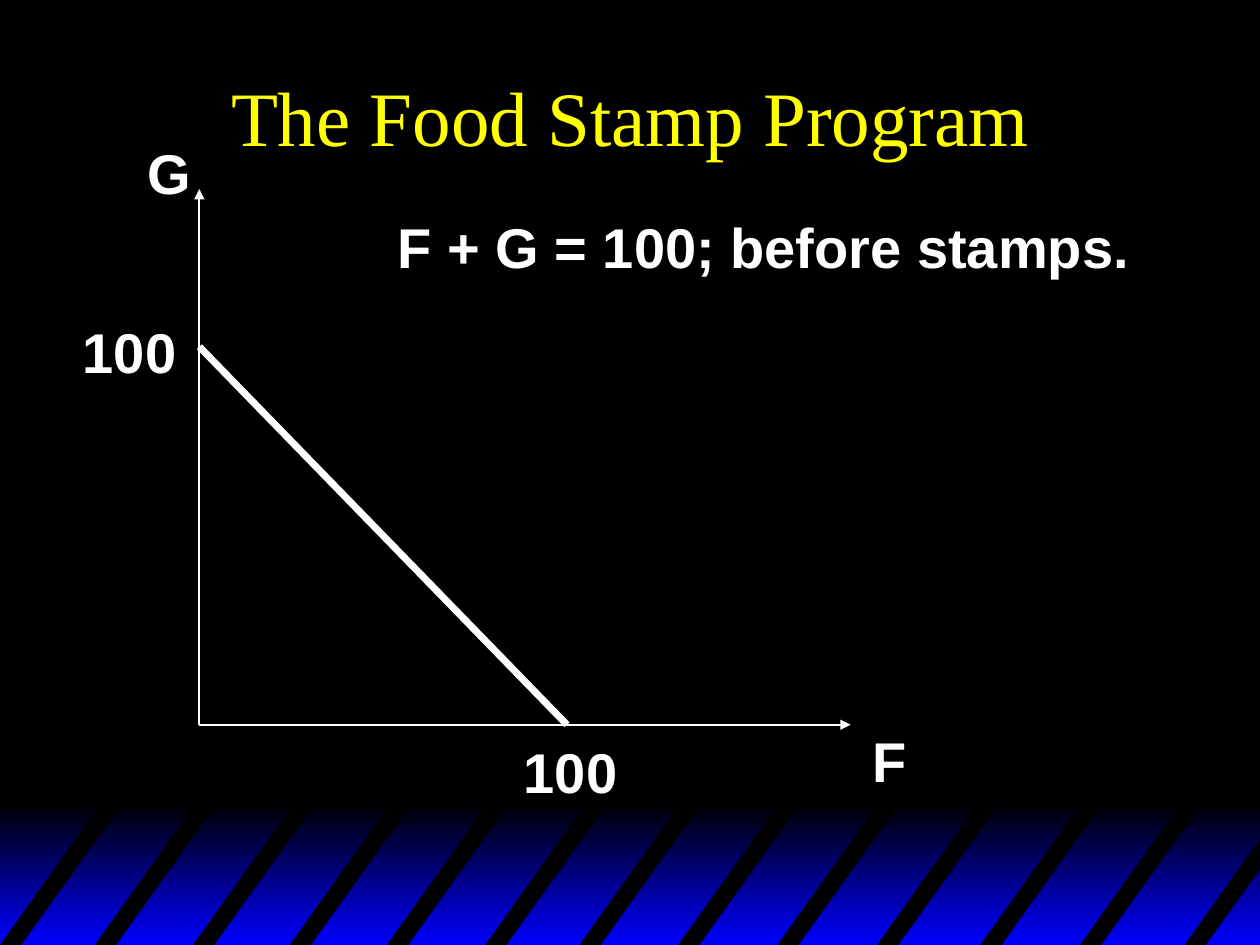
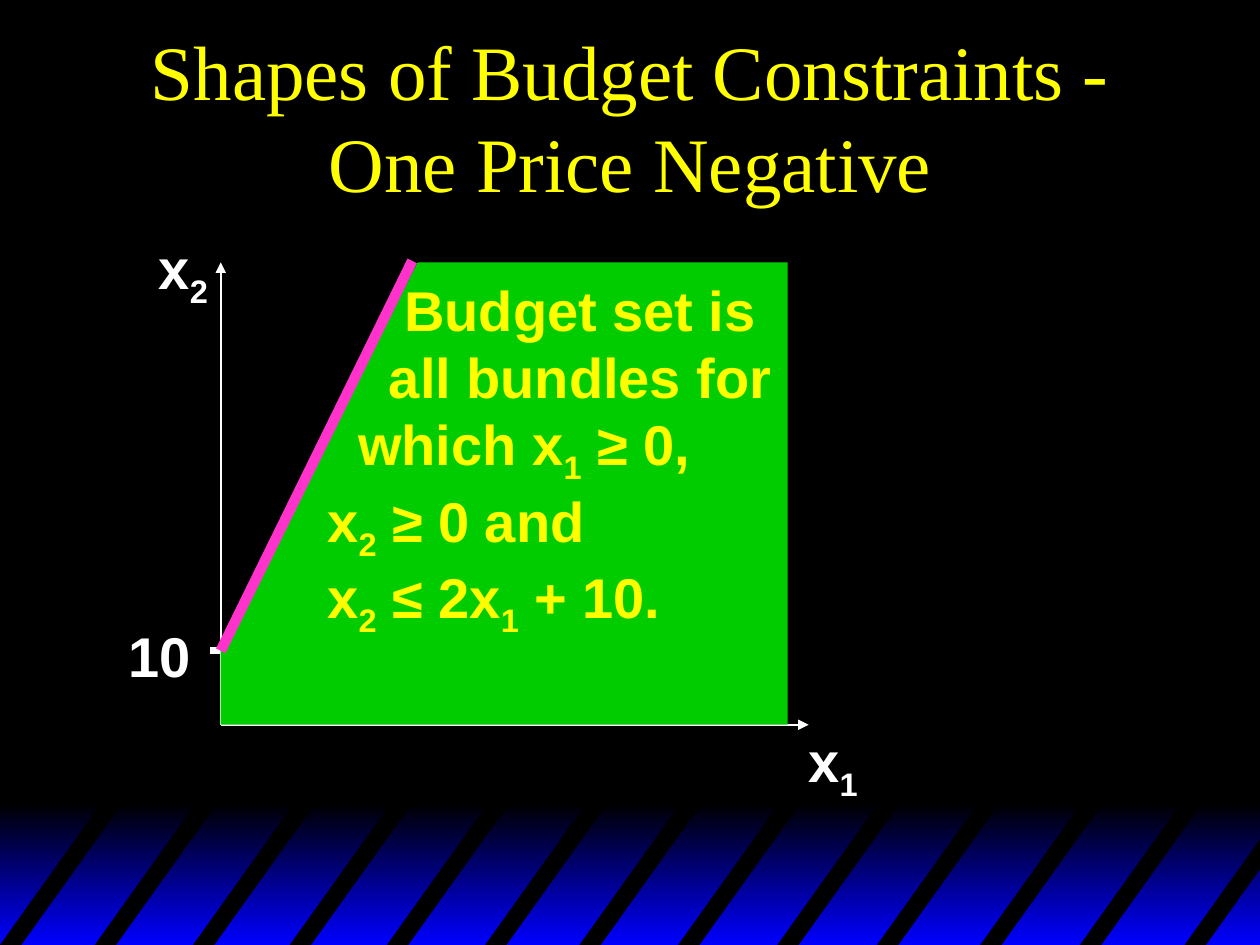
from lxml.etree import SubElement as Sub
from pptx import Presentation as Deck
from pptx.dml.color import RGBColor as Rgb
from pptx.enum.shapes import MSO_CONNECTOR as Link, MSO_SHAPE as Form
from pptx.enum.text import MSO_ANCHOR as Anchor, MSO_AUTO_SIZE as Auto, PP_ALIGN as Align
from pptx.oxml.ns import qn
from pptx.util import Cm, Pt

WIDE, HIGH = 25.4, 19.05
HUES = {
    "back": "000000",
    "glow": "0000FF",
    "title": "FFFF00",
    "ink": "FFFFFF",
    "area": "00CC00",
    "edge": "FF33CC",
}
FONTS = {
    "title": {"name": "Times New Roman", "size": Pt(44), "bold": False},
    "label": {"name": "Arial", "size": Pt(32), "bold": True},
}
STRIPES = [0, 1.91, 3.89, 5.84, 7.8, 9.78, 11.68, 13.67, 15.67, 17.68, 19.76, 21.77, 23.88]


def hue(key):
    return Rgb.from_string(HUES[key])


def place(shape, box):
    for name, size in zip(("left", "top", "width", "height"), box):
        setattr(shape, name, Cm(size))


def style(run, kind, tone):
    for name, value in FONTS[kind].items():
        setattr(run.font, name, value)
    run.font.color.rgb = hue(tone)


def write(para, text, kind, tone):
    for turn, part in enumerate(text.split("~")):
        if part:
            run = para.add_run()
            run.text = part
            style(run, kind, tone)
            if turn % 2:
                run._r.get_or_add_rPr().set("baseline", "-25000")


def label(slide, text, box, tone="ink", insets=(0,)):
    area = slide.shapes.add_textbox(*map(Cm, box))
    frame = area.text_frame
    frame.word_wrap = False
    for row, (line, inset) in enumerate(zip(text.split("\n"), insets)):
        para = frame.add_paragraph() if row else frame.paragraphs[0]
        para._p.get_or_add_pPr().set("marL", str(Cm(inset)))
        write(para, line, "label", tone)


def stroke(slide, start, end, width, tone="ink", arrow=False):
    line = slide.shapes.add_connector(Link.STRAIGHT, *map(Cm, (*start, *end)))
    line.line.width = Pt(width)
    line.line.color.rgb = hue(tone)
    if arrow:
        Sub(line.get_or_add_ln(), qn("a:tailEnd"), type="triangle")
    Sub(line._element.spPr, qn("a:effectLst"))


def patch(shapes, points, tone):
    first, *rest = [tuple(map(Cm, point)) for point in points]
    pen = shapes.build_freeform(*first)
    pen.add_line_segments(rest)
    shape = pen.convert_to_shape()
    shape.shadow.inherit = False
    shape.fill.solid()
    shape.fill.fore_color.rgb = hue(tone)
    shape.line.fill.background()


def band(slide, layout, box):
    left, top, width, height = box
    group = slide.shapes.add_group_shape()
    glow = group.shapes.add_shape(Form.RECTANGLE, *map(Cm, (left, top + 0.1, width, height - 0.1)))
    glow.shadow.inherit = False
    glow.line.fill.background()
    glow.fill.gradient()
    glow.fill.gradient_angle = 270
    for stop, tone in zip(glow.fill.gradient_stops, ("back", "glow")):
        stop.color.rgb = hue(tone)
    slope, thick, base = 1.4, 0.43, top + height
    for start in STRIPES:
        near, far = [
            (left + foot, min(height / slope, width - foot))
            for foot in (start, start + thick)
        ]
        tips = [(foot + run, base - run * slope) for foot, run in (near, far)]
        patch(group.shapes, [(near[0], base), *tips, (far[0], base)], "back")
    tree = layout.shapes.element
    tree.insert(2, group.element)
    for number, item in enumerate(tree.iter(qn("p:cNvPr")), 1):
        item.set("id", str(number))


def title(slide, text):
    head = slide.shapes.title
    place(head, (1.91, 0.64, 21.59, 3.38))
    frame = head.text_frame
    for name, value in {
        "word_wrap": True,
        "auto_size": Auto.NONE,
        "vertical_anchor": Anchor.MIDDLE,
    }.items():
        setattr(frame, name, value)
    para = frame.paragraphs[0]
    para.alignment = Align.CENTER
    write(para, text, "title", "title")


def axes(slide, box):
    left, top, width, height = box
    base = top + height
    for end in ((left, top), (left + width, base)):
        stroke(slide, (left, base), end, 1, arrow=True)


def stamps(slide, box):
    left, top, width, height = box
    base = top + height
    axes(slide, box)
    label(slide, "G", (left - 1.3, top - 1.14, 1.4, 1.6))
    label(slide, "F", (left + width + 0.18, base - 0.08, 1.19, 1.6))
    stroke(slide, (left, top + 3.18), (left + 7.41, base), 4)
    label(slide, "100", (left + 6.29, base + 0.13, 2.39, 1.6))
    label(slide, "100", (left - 2.6, top + 2.46, 2.39, 1.6))
    label(slide, "F + G = 100; before stamps.", (left + 3.75, top + 0.35, 15.27, 1.6))


def budget(slide, box):
    left, top, width, height = box
    base, cut, right = top + height, top + 7.83, left + 11.43
    axes(slide, box)
    stroke(slide, (left - 0.21, cut), (left + 0.21, cut), 4)
    label(slide, "10", (left - 2.11, cut - 0.72, 2.11, 1.6))
    label(slide, "x~2", (left - 1.5, top - 0.71, 1.5, 1.8))
    label(slide, "x~1", (left + width - 0.25, base - 0.08, 1.5, 1.8))
    patch(
        slide.shapes,
        [(left, cut), (left + 3.97, top), (right, top), (right, base), (left, base)],
        "area",
    )
    stroke(slide, (left, cut), (left + 3.86, top - 0.03), 6, "edge")
    space = 0.31
    label(
        slide,
        "Budget set is\nall bundles for\nwhich x~1~ ≥ 0,\nx~2~ ≥ 0 and\nx~2~ ≤ 2x~1~ + 10.",
        (left + 1.9, top + 0.14, 10.21, 7.59),
        "title",
        [count * space for count in (5, 4, 2, 0, 0)],
    )


def main():
    deck = Deck()
    deck.slide_width, deck.slide_height = Cm(WIDE), Cm(HIGH)
    layout = deck.slide_layouts[5]
    back = deck.slide_master.background.fill
    back.solid()
    back.fore_color.rgb = hue("back")
    pages = [
        ("The Food Stamp Program", stamps, (4.02, 3.81, 13.13, 10.8)),
        (
            "Shapes of Budget Constraints - One Price Negative",
            budget,
            (4.45, 5.29, 11.85, 9.32),
        ),
    ]
    for number, (text, draw, box) in enumerate(pages):
        slide = deck.slides.add_slide(layout)
        if not number:
            band(slide, layout, (0, 16.1, WIDE, HIGH - 16.1))
        title(slide, text)
        draw(slide, box)
    deck.save("out.pptx")


if __name__ == "__main__":
    main()
